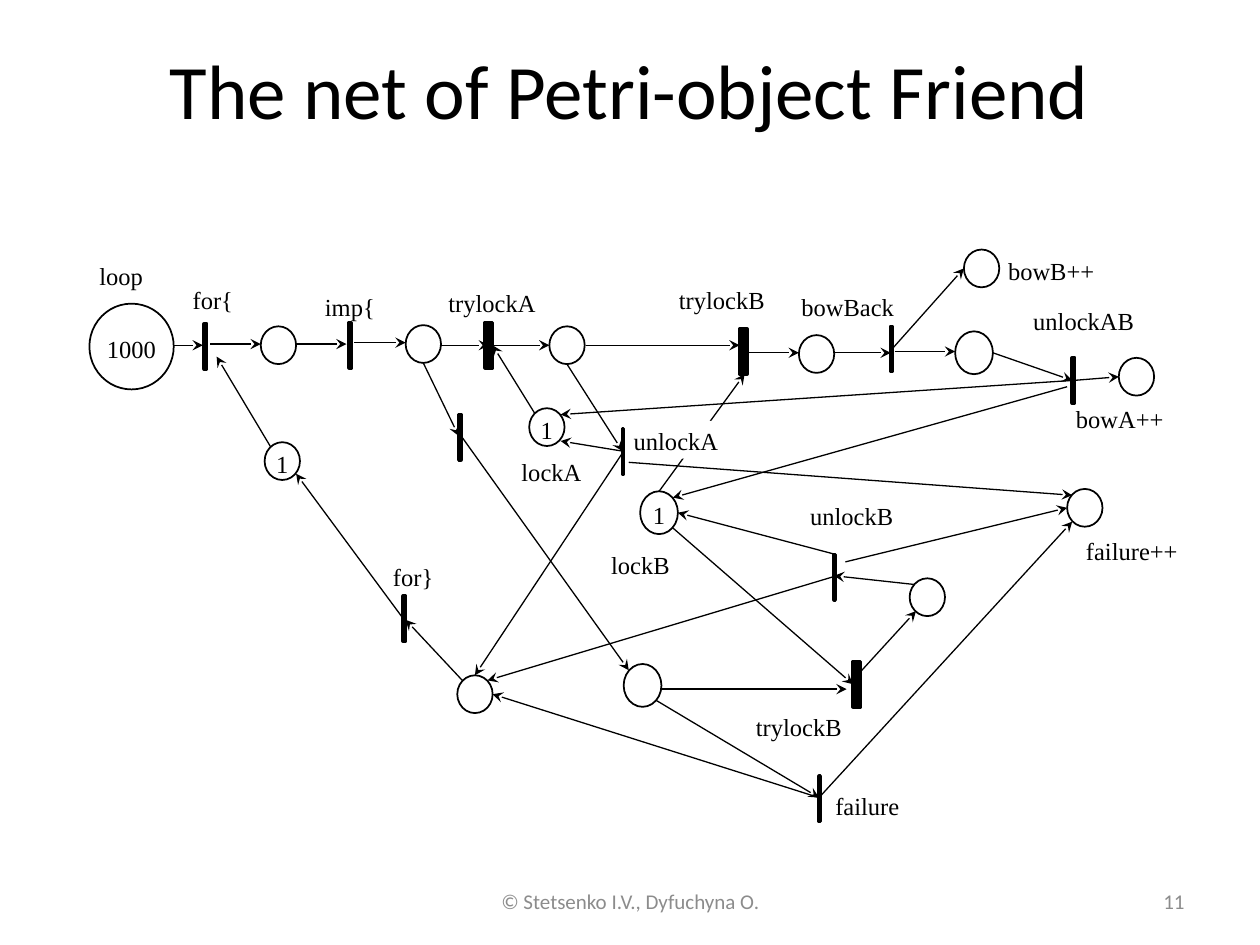
from dataclasses import dataclass

from lxml import etree
from pptx import Presentation
from pptx import util as u
from pptx.dml.color import RGBColor
from pptx.enum import shapes, text
from pptx.oxml.ns import qn


@dataclass(frozen=True)
class Theme:
    ink: RGBColor = RGBColor(0, 0, 0)
    paper: RGBColor = RGBColor(255, 255, 255)
    muted: RGBColor = RGBColor(0x8C, 0x8C, 0x8C)
    heading_font: str = "Calibri"
    net_font: str = "Times New Roman"
    title_size: float = 44
    net_size: float = 14
    footer_size: float = 12
    arc_width: float = 0.75
    place_width: float = 1
    bar_width: float = 2


class PetriSlide:
    BAR_HEIGHT = 25.9

    def __init__(self, slide, theme):
        self.shapes = slide.shapes
        self.theme = theme

    def set_words(self, shape, words, font, size, color, align, anchor, insets):
        frame = shape.text_frame
        frame.word_wrap = True
        frame.vertical_anchor = anchor
        frame.margin_left = frame.margin_right = u.Pt(insets[0])
        frame.margin_top = frame.margin_bottom = u.Pt(insets[1])
        line = frame.paragraphs[0]
        line.alignment = align
        run = line.add_run()
        run.text = words
        run.font.name = font
        run.font.size = u.Pt(size)
        run.font.color.rgb = color
        return line

    def heading(self, words, box, size, color, align=text.PP_ALIGN.CENTER):
        shape = self.shapes.add_textbox(*map(u.Pt, box))
        self.set_words(shape, words, self.theme.heading_font, size, color, align,
                       text.MSO_ANCHOR.MIDDLE, (7.2, 3.6))

    def net_text(self, shape, words, align, anchor, insets):
        line = self.set_words(shape, words, self.theme.net_font, self.theme.net_size,
                              self.theme.ink, align, anchor, insets)
        line.line_spacing = 1.15

    def label(self, words, box, filled=True):
        shape = self.shapes.add_textbox(*map(u.Pt, box))
        if filled:
            shape.fill.solid()
            shape.fill.fore_color.rgb = self.theme.paper
        self.net_text(shape, words, text.PP_ALIGN.LEFT, text.MSO_ANCHOR.TOP, (1.4, 0.7))

    def node(self, kind, center, size, fill, line_width):
        (x, y), (width, height) = center, size
        shape = self.shapes.add_shape(kind, u.Pt(x - width / 2), u.Pt(y - height / 2),
                                      u.Pt(width), u.Pt(height))
        shape.shadow.inherit = False
        shape.fill.solid()
        shape.fill.fore_color.rgb = fill
        shape.line.color.rgb = self.theme.ink
        shape.line.width = u.Pt(line_width)
        return shape

    def place(self, x, y, size, tokens=""):
        shape = self.node(shapes.MSO_SHAPE.OVAL, (x, y), size,
                          self.theme.paper, self.theme.place_width)
        if tokens:
            self.net_text(shape, tokens, text.PP_ALIGN.CENTER, text.MSO_ANCHOR.MIDDLE, (0, 0))

    def transition(self, x, y, width):
        self.node(shapes.MSO_SHAPE.RECTANGLE, (x, y), (width, self.BAR_HEIGHT),
                  self.theme.ink, self.theme.bar_width)

    def arc(self, *ends):
        arc = self.shapes.add_connector(shapes.MSO_CONNECTOR.STRAIGHT, *map(u.Pt, ends))
        arc.line.color.rgb = self.theme.ink
        arc.line.width = u.Pt(self.theme.arc_width)
        properties = arc.element.spPr
        etree.SubElement(properties.find(qn("a:ln")), qn("a:tailEnd"), type="stealth")
        etree.SubElement(properties, qn("a:effectLst"))


# Labels: words, box, filled
LABELS = [
    ("loop", (55.4, 146.2, 35.3, 25.2), True),
    ("for{", (108.7, 159.8, 35.3, 25.2), True),
    ("imp{", (184.3, 163.4, 43.2, 22.3), True),
    ("trylockA", (254.9, 161.3, 69.1, 20.2), True),
    ("trylockB", (386.6, 159.8, 61.9, 21.6), True),
    ("bowBack", (456.5, 163.4, 73.4, 22.3), True),
    ("bowB++", (574.6, 143.3, 64.1, 27.4), True),
    ("unlockAB", (589, 171.4, 75.6, 22.3), True),
    ("bowA++", (613.4, 227.5, 67.7, 24.5), False),
    ("lockA", (296.6, 257.8, 49, 24.5), False),
    ("lockB", (347.8, 311, 41.8, 23.8), False),
    ("unlockB", (461.5, 283, 61.2, 25.9), True),
    ("failure++", (619.2, 303.1, 59.8, 30.2), True),
    ("for}", (223.2, 318.2, 38.2, 21.6), True),
    ("trylockB", (430.6, 403.9, 59.8, 16.6), False),
    ("failure", (475.9, 448.6, 54, 20.9), False),
]

# Arcs: from x, y, to x, y
ARCS = [
    # loop and first steps
    (87.1, 197.3, 115.9, 197.3), (120.2, 196.6, 149, 196.6),
    (169.2, 196.6, 198, 196.6), (202.3, 195.8, 231.8, 195.8),
    (250.6, 197.3, 279.4, 197.3), (241.9, 207.4, 262.1, 249.1),
    (263.5, 249.1, 359.3, 383), (154.8, 255.6, 123.8, 203.8),
    (230.4, 353.5, 169.2, 270.7), (264.2, 388.8, 231.8, 354.2),
    # lock A
    (306, 236.9, 281.5, 197.3), (281.5, 197.3, 313.9, 197.3),
    (334.8, 197.3, 422.6, 197.3), (324, 208.1, 355.7, 257.8),
    (355.7, 257.8, 320.4, 252), (356.4, 257.8, 271.4, 385.9),
    (359.3, 264.2, 612.7, 283),
    # bow and unlock both
    (376.6, 280.8, 425.5, 213.8), (427.7, 201.6, 456.5, 201.6),
    (476.6, 201.6, 509, 201.6), (509.8, 199.4, 550.8, 153.4),
    (511.2, 200.9, 545.8, 200.9), (567.4, 201.6, 612.7, 217.4),
    (613.4, 217.4, 639.4, 215.3), (612.7, 217.4, 320.4, 236.9),
    (609.8, 221, 384.5, 284.4),
    # lock B and failure
    (384.5, 301.7, 487.4, 391), (378, 393.8, 483.8, 393.8),
    (491.8, 383.8, 523.4, 349.2), (523.4, 334.1, 476.6, 329),
    (477.4, 316.8, 387.4, 293), (478.1, 329, 278.6, 388.8),
    (483.1, 321.1, 609.8, 290.2), (375.1, 400.3, 468, 455.8),
    (468, 455.8, 612.7, 298.1), (468, 455.8, 281.5, 396.7),
]

# Places: centre, size, tokens
SMALL, MEDIUM, LARGE = (20.2, 21.6), (21.6, 24.5), (48.2, 49)
PLACES = [
    (75.2, 198, LARGE, "1000"), (161.3, 263.5, SMALL, "1"),
    (312.5, 244.1, SMALL, "1"), (376.6, 293, MEDIUM, "1"),
    (159.1, 197.3, SMALL), (241.9, 196.6, SMALL), (324, 197.3, SMALL),
    (466.6, 202.3, SMALL), (560.9, 153.4, SMALL), (649.4, 215.3, SMALL),
    (619.9, 290.2, SMALL), (529.9, 341.3, SMALL), (271.4, 396.7, SMALL),
    (556.6, 201.6, MEDIUM), (367.2, 391.7, MEDIUM),
]

# Transitions: bar width and centres
TRANSITIONS = {
    0.7: [(356, 257.8), (509.4, 199.4), (477, 329.8), (468.4, 456.5)],
    1.4: [(117.4, 198), (200.2, 197.3), (231.1, 353.5), (262.8, 249.8), (613.4, 217.4)],
    4.3: [(279.4, 197.3), (424.8, 200.9), (489.6, 391)],
}


def main():
    deck = Presentation()
    deck.slide_width, deck.slide_height = u.Pt(720), u.Pt(540)
    theme = Theme()
    net = PetriSlide(deck.slides.add_slide(deck.slide_layouts[6]), theme)

    # Title
    net.heading("The net of Petri-object Friend", (36, 5.8, 648, 90),
                theme.title_size, theme.ink)

    # Net, with the one label that interrupts an arc on top
    for label in LABELS:
        net.label(*label)
    for arc in ARCS:
        net.arc(*arc)
    for place in PLACES:
        net.place(*place)
    for width, centers in TRANSITIONS.items():
        for x, y in centers:
            net.transition(x, y, width)
    net.label("unlockA", (360.7, 240.5, 72.7, 21.6))

    # Footer
    net.heading("© Stetsenko I.V., Dyfuchyna O.", (246.2, 500.4, 228.2, 28.8),
                theme.footer_size, theme.muted)
    net.heading("11", (516.2, 500.4, 167.8, 28.8),
                theme.footer_size, theme.muted, text.PP_ALIGN.RIGHT)

    deck.save("out.pptx")


if __name__ == "__main__":
    main()
